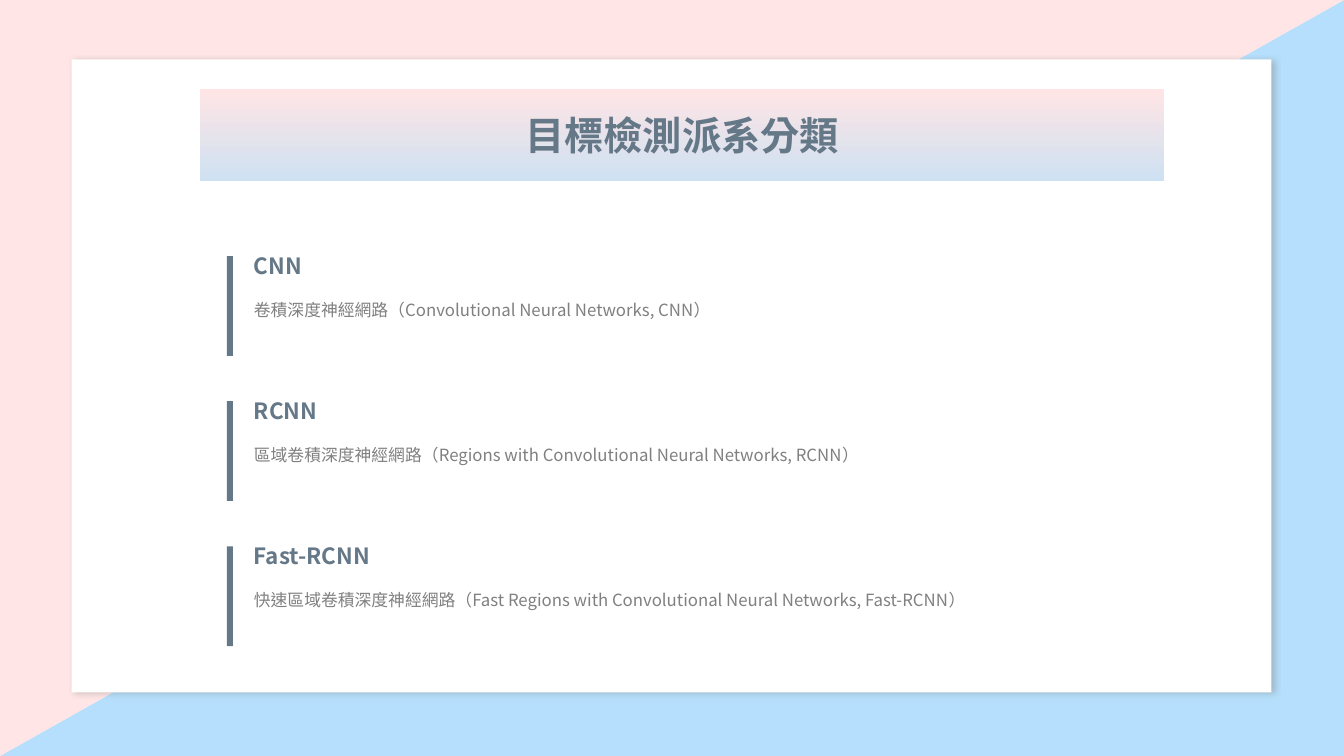
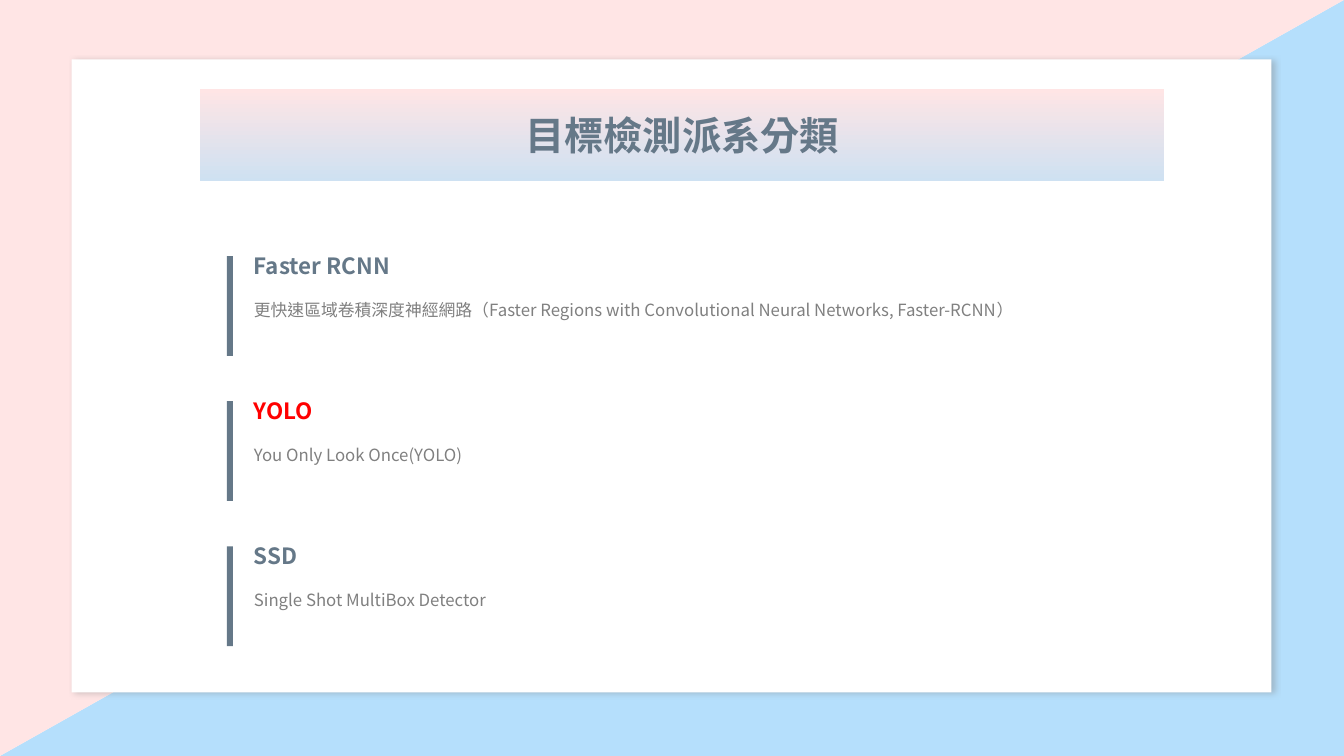
"""Build two slides that sort object detection methods into families."""
from dataclasses import dataclass

from lxml.etree import SubElement
from pptx import Presentation
from pptx.dml.color import RGBColor
from pptx.enum.lang import MSO_LANGUAGE_ID
from pptx.enum.shapes import MSO_SHAPE
from pptx.enum.text import MSO_ANCHOR, MSO_AUTO_SIZE, PP_ALIGN
from pptx.oxml.ns import qn
from pptx.util import Inches, Pt

TITLE = "目標檢測派系分類"
SLIDES = [
    [
        ("CNN", "卷積深度神經網路（Convolutional Neural Networks, CNN）"),
        ("RCNN", "區域卷積深度神經網路（Regions with Convolutional Neural Networks, RCNN）"),
        ("Fast-RCNN", "快速區域卷積深度神經網路（Fast Regions with Convolutional Neural Networks, Fast-RCNN）"),
    ],
    [
        ("Faster RCNN", "更快速區域卷積深度神經網路（Faster Regions with Convolutional Neural Networks, Faster-RCNN）"),
        ("YOLO", "You Only Look Once(YOLO)"),
        ("SSD", "Single Shot MultiBox Detector"),
    ],
]
HIGHLIGHTED = "YOLO"


@dataclass(frozen=True)
class Theme:
    font: str = "Noto Sans CJK JP"
    pink: str = "FFE5E5"
    blue: str = "B5DFFC"
    pale_blue: str = "CEE1F2"
    white: str = "FFFFFF"
    slate: str = "657888"
    gray: str = "808080"
    red: str = "FF0000"
    title_size: int = 28
    heading_size: int = 16
    body_size: int = 12


THEME = Theme()
SLIDE_WIDTH, SLIDE_HEIGHT = 13.33, 7.5
FIRST_TOP, ROW_STEP = 2.45, 1.44
TEXT_LEFT, BAR_LEFT = 2.42, 2.25


def write_text(frame, text, size, color, bold=False, align=PP_ALIGN.LEFT, line_spacing=None):
    paragraph = frame.paragraphs[0]
    paragraph.alignment = align
    paragraph.line_spacing = line_spacing
    run = paragraph.add_run()
    run.text = text
    font = run.font
    font.size, font.bold, font.name = Pt(size), bold, THEME.font
    font.color.rgb = RGBColor.from_string(color)
    font.language_id = MSO_LANGUAGE_ID.TRADITIONAL_CHINESE
    properties = run._r.get_or_add_rPr()
    SubElement(properties, qn("a:ea"), typeface=THEME.font)


def add_block(shapes, kind, left, top, width, height, color):
    shape = shapes.add_shape(kind, Inches(left), Inches(top), Inches(width), Inches(height))
    shape.shadow.inherit = False
    shape.fill.solid()
    shape.fill.fore_color.rgb = RGBColor.from_string(color)
    shape.line.fill.background()
    return shape


def add_label(shapes, text, top, width, height, **text_format):
    box = shapes.add_textbox(Inches(TEXT_LEFT), Inches(top), Inches(width), Inches(height))
    box.text_frame.word_wrap = True
    box.text_frame.auto_size = MSO_AUTO_SIZE.SHAPE_TO_FIT_TEXT
    write_text(box.text_frame, text, **text_format)


def add_card_shadow(card):
    effects = card.element.spPr.find(qn("a:effectLst"))
    shadow = SubElement(effects, qn("a:outerShdw"), blurRad=str(Pt(4)), dist=str(Pt(3)),
                        dir=str(24 * 60000), algn="ctr", rotWithShape="0")
    color = SubElement(shadow, qn("a:srgbClr"), val=THEME.gray)
    SubElement(color, qn("a:alpha"), val="40000")


def move_backdrop_to_layout(slide, layout):
    backdrop = []
    for flip, color in (("flipH", THEME.blue), ("flipV", THEME.pink)):
        triangle = add_block(slide.shapes, MSO_SHAPE.RIGHT_TRIANGLE, 0, 0, SLIDE_WIDTH, SLIDE_HEIGHT, color)
        triangle.element.spPr.find(qn("a:xfrm")).set(flip, "1")
        backdrop.append(triangle)
    card = add_block(slide.shapes, MSO_SHAPE.RECTANGLE, 0.71, 0.59, 11.9, 6.28, THEME.white)
    add_card_shadow(card)
    backdrop.append(card)
    for index, shape in enumerate(backdrop, start=2):
        layout.shapes.element.insert(index, shape.element)


def format_title(title):
    title.left, title.top = Inches(1.98), Inches(0.88)
    title.width, title.height = Inches(9.57), Inches(0.92)
    title.fill.gradient()
    title.fill.gradient_angle = 270
    for stop, color, position in zip(title.fill.gradient_stops, (THEME.pink, THEME.pale_blue), (0, 1)):
        stop.color.rgb = RGBColor.from_string(color)
        stop.position = position
    frame = title.text_frame
    frame.auto_size = MSO_AUTO_SIZE.NONE
    frame.vertical_anchor = MSO_ANCHOR.MIDDLE
    write_text(frame, TITLE, size=THEME.title_size, color=THEME.slate, bold=True, align=PP_ALIGN.CENTER)


def add_method(slide, row, name, description):
    top = FIRST_TOP + row * ROW_STEP
    shapes = slide.shapes.add_group_shape().shapes
    color = THEME.red if name == HIGHLIGHTED else THEME.slate
    add_label(shapes, name, top, 4.3, 0.37, size=THEME.heading_size, color=color, bold=True)
    add_label(shapes, description, top + 0.35, 8.82, 0.42,
              size=THEME.body_size, color=THEME.gray, line_spacing=1.6)
    add_block(shapes, MSO_SHAPE.RECTANGLE, BAR_LEFT, top + 0.09, 0.06, 0.99, THEME.slate)


def main():
    presentation = Presentation()
    presentation.slide_width, presentation.slide_height = Inches(SLIDE_WIDTH), Inches(SLIDE_HEIGHT)
    layout = presentation.slide_layouts.get_by_name("Title Only")
    for number, methods in enumerate(SLIDES):
        slide = presentation.slides.add_slide(layout)
        if number == 0:
            move_backdrop_to_layout(slide, layout)
        format_title(slide.shapes.title)
        for row, (name, description) in enumerate(methods):
            add_method(slide, row, name, description)
    presentation.save("out.pptx")


if __name__ == "__main__":
    main()
